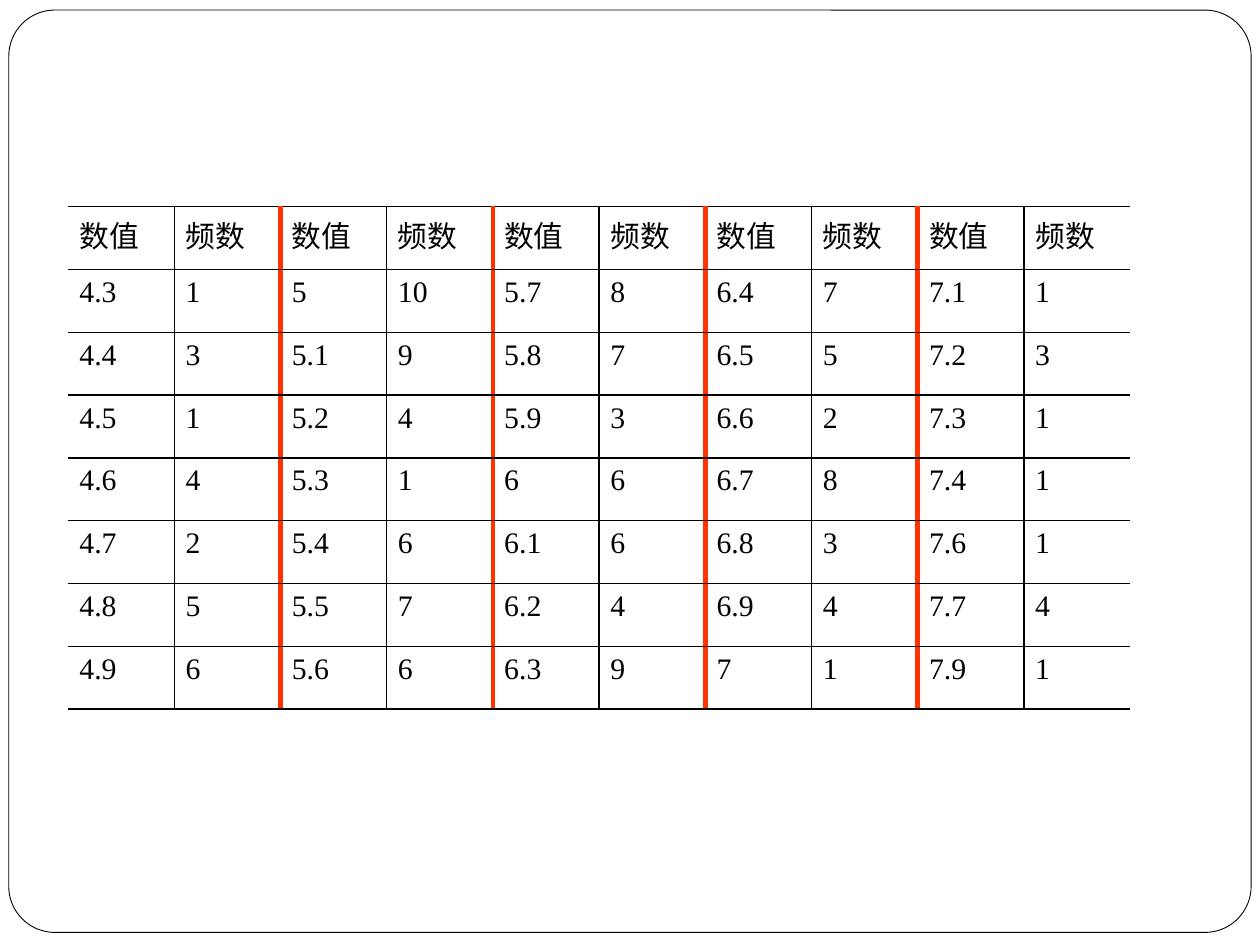
from lxml import etree
from pptx import Presentation
from pptx.dml.color import RGBColor
from pptx.enum.shapes import MSO_SHAPE
from pptx.oxml.ns import qn
from pptx.util import Inches, Pt

HEADERS = ("数值", "频数")
FREQUENCIES = [  # one list of (value, frequency) per column pair
    [("4.3", 1), ("4.4", 3), ("4.5", 1), ("4.6", 4), ("4.7", 2), ("4.8", 5), ("4.9", 6)],
    [("5", 10), ("5.1", 9), ("5.2", 4), ("5.3", 1), ("5.4", 6), ("5.5", 7), ("5.6", 6)],
    [("5.7", 8), ("5.8", 7), ("5.9", 3), ("6", 6), ("6.1", 6), ("6.2", 4), ("6.3", 9)],
    [("6.4", 7), ("6.5", 5), ("6.6", 2), ("6.7", 8), ("6.8", 3), ("6.9", 4), ("7", 1)],
    [("7.1", 1), ("7.2", 3), ("7.3", 1), ("7.4", 1), ("7.6", 1), ("7.7", 4), ("7.9", 1)],
]

BLACK = RGBColor(0x00, 0x00, 0x00)
WHITE = RGBColor(0xFF, 0xFF, 0xFF)
RED = RGBColor(0xFF, 0x33, 0x00)
FONT = "Times New Roman"
THIN = (BLACK, 1)
DIVIDER = (RED, 3)


def set_border(cell, side, border):
    """Draw one side (L, R, T or B) as (colour, points); None hides it."""
    color, width = border or (None, 0)
    ln = etree.SubElement(cell._tc.get_or_add_tcPr(), qn(f"a:ln{side}"), w=str(Pt(width)))
    if color is None:
        etree.SubElement(ln, qn("a:noFill"))
    else:
        fill = etree.SubElement(ln, qn("a:solidFill"))
        etree.SubElement(fill, qn("a:srgbClr"), val=str(color))


def vertical_border(edge, last):
    """Border at a column edge: none outside, a divider between pairs."""
    if edge in (0, last):
        return None
    return THIN if edge % 2 else DIVIDER


def add_frame(slide):
    sp = slide.shapes.add_shape(MSO_SHAPE.ROUNDED_RECTANGLE, Inches(0.07), Inches(0.08),
                                Inches(9.86), Inches(7.32))
    sp.adjustments[0] = 0.05
    sp.shadow.inherit = False
    sp.fill.solid()
    sp.fill.fore_color.rgb = WHITE
    sp.line.color.rgb = BLACK
    sp.line.width = Pt(0.5)


def add_frequency_table(slide):
    rows = [HEADERS * len(FREQUENCIES)]
    rows += [[item for pair in line for item in pair] for line in zip(*FREQUENCIES)]
    n_cols = len(rows[0])
    table = slide.shapes.add_table(len(rows), n_cols, Inches(0.54), Inches(1.64),
                                   Inches(8.43), Inches(3.99)).table
    table.first_row = table.horz_banding = False
    for i, row in enumerate(rows):
        for j, value in enumerate(row):
            cell = table.cell(i, j)
            cell.margin_left = cell.margin_right = Inches(0.09)
            cell.margin_top = cell.margin_bottom = Inches(0.05)
            set_border(cell, "L", vertical_border(j, n_cols))
            set_border(cell, "R", vertical_border(j + 1, n_cols))
            set_border(cell, "T", THIN)
            set_border(cell, "B", THIN)
            cell.fill.background()
            r = cell.text_frame.paragraphs[0].add_run()
            r.text = str(value)
            r.font.name = FONT
            r.font.size = Pt(17)
            r.font.color.rgb = BLACK


def main():
    prs = Presentation()
    prs.slide_width, prs.slide_height = Inches(10), Inches(7.5)
    slide = prs.slides.add_slide(prs.slide_layouts[6])
    add_frame(slide)
    add_frequency_table(slide)
    prs.save("out.pptx")


if __name__ == "__main__":
    main()
